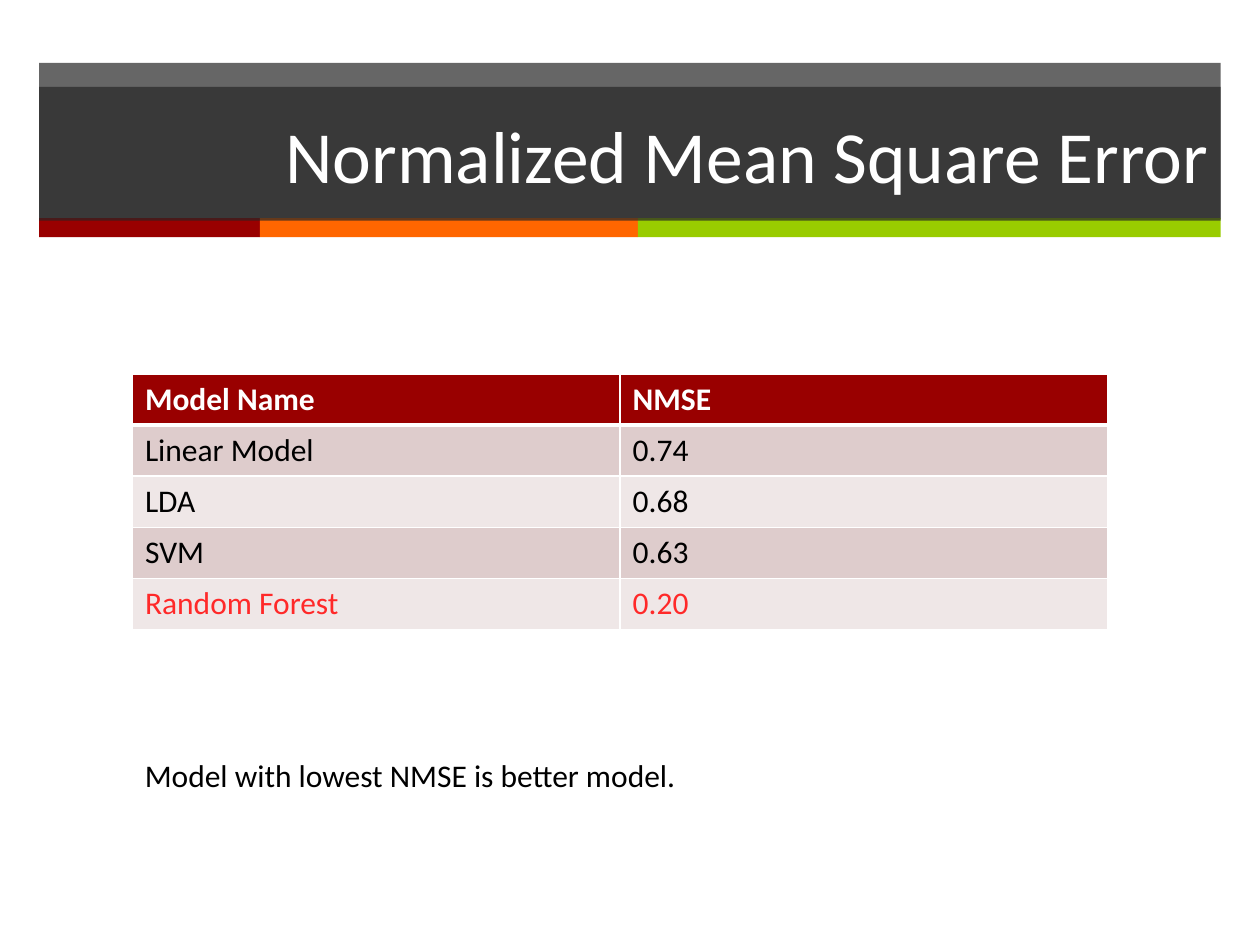
import pptx
import pptx.dml.color
import pptx.enum.shapes
import pptx.enum.text
import pptx.oxml
import pptx.oxml.ns
import pptx.util
from pptx.util import Cm

RGBColor = pptx.dml.color.RGBColor
PP_ALIGN = pptx.enum.text.PP_ALIGN
ANCHOR = pptx.enum.text.MSO_ANCHOR

WHITE = RGBColor(0xFF, 0xFF, 0xFF)
BLACK = RGBColor(0x00, 0x00, 0x00)
CHARCOAL = RGBColor(0x26, 0x26, 0x26)
DARK_RED = RGBColor(0x99, 0x00, 0x00)
ORANGE = RGBColor(0xFF, 0x66, 0x00)
GREEN = RGBColor(0x99, 0xCC, 0x00)
ROW_DARK = RGBColor(0xDE, 0xCC, 0xCC)
ROW_LIGHT = RGBColor(0xEF, 0xE7, 0xE7)
BEST_RED = RGBColor(0xFF, 0x29, 0x29)


def write(frame, text, size=18, color=BLACK, bold=False, align=PP_ALIGN.LEFT):
    paragraph = frame.paragraphs[0]
    paragraph.alignment = align
    run = paragraph.add_run()
    run.text = text
    run.font.name = "Calibri"
    run.font.size = pptx.util.Pt(size)
    run.font.bold = bold
    run.font.color.rgb = color


def add_bar(left, top, width, height, color, opacity=100):
    """Add a borderless rectangle; opacity is a percentage."""
    bar = slide.shapes.add_shape(
        pptx.enum.shapes.MSO_SHAPE.RECTANGLE, Cm(left), Cm(top), Cm(width), Cm(height))
    bar.shadow.inherit = False
    bar.line.fill.background()
    bar.fill.solid()
    bar.fill.fore_color.rgb = color
    if opacity < 100:
        rgb = bar.fill._xPr.find(".//" + pptx.oxml.ns.qn("a:srgbClr"))
        rgb.append(pptx.oxml.parse_xml(
            f'<a:alpha {pptx.oxml.ns.nsdecls("a")} val="{opacity * 1000}"/>'))
    return bar


deck = pptx.Presentation()
deck.slide_width, deck.slide_height = Cm(25.4), Cm(19.05)
slide = deck.slides.add_slide(deck.slide_layouts[6])

# Header: two translucent bands over a three-colour stripe
band_left, band_width = 0.79, 23.82
add_bar(band_left, 1.27, band_width, 3.15, CHARCOAL, opacity=70)
stripe_left = band_left
for stripe_width, color in ((4.45, DARK_RED), (7.62, ORANGE), (11.75, GREEN)):
    add_bar(stripe_left, 4.4, stripe_width, 0.38, color)
    stripe_left += stripe_width
title = add_bar(band_left, 1.75, band_width, 2.7, CHARCOAL, opacity=70).text_frame
title.vertical_anchor = ANCHOR.MIDDLE
title.word_wrap = True
write(title, "Normalized Mean Square Error", size=42, color=WHITE, align=PP_ALIGN.RIGHT)

# Scores
scores = [
    ("Model Name", "NMSE"),
    ("Linear Model", "0.74"),
    ("LDA", "0.68"),
    ("SVM", "0.63"),
    ("Random Forest", "0.20"),
]
table = slide.shapes.add_table(
    len(scores), 2, Cm(2.67), Cm(7.54), Cm(19.66), Cm(1.03 * len(scores))).table
for r, row in enumerate(scores):
    is_header = r == 0
    is_best = r == len(scores) - 1
    fill = DARK_RED if is_header else ROW_DARK if r % 2 else ROW_LIGHT
    text_color = WHITE if is_header else BEST_RED if is_best else BLACK
    for c, text in enumerate(row):
        cell = table.cell(r, c)
        cell.fill.solid()
        cell.fill.fore_color.rgb = fill
        write(cell.text_frame, text, color=text_color, bold=is_header)
        # Borders come before the fill in the cell properties
        properties = cell._tc.get_or_add_tcPr()
        for position, side in enumerate("LRTB"):
            thick = (is_header and side == "B") or (r == 1 and side == "T")
            properties.insert(position, pptx.oxml.parse_xml(
                f'<a:ln{side} {pptx.oxml.ns.nsdecls("a")} w="{pptx.util.Pt(3 if thick else 1)}">'
                f'<a:solidFill><a:srgbClr val="{WHITE}"/></a:solidFill></a:ln{side}>'))

# Conclusion
conclusion = slide.shapes.add_textbox(Cm(2.67), Cm(15.11), Cm(15.42), Cm(1.03)).text_frame
conclusion.word_wrap = True
write(conclusion, "Model with lowest NMSE is better model.")

deck.save("out.pptx")
